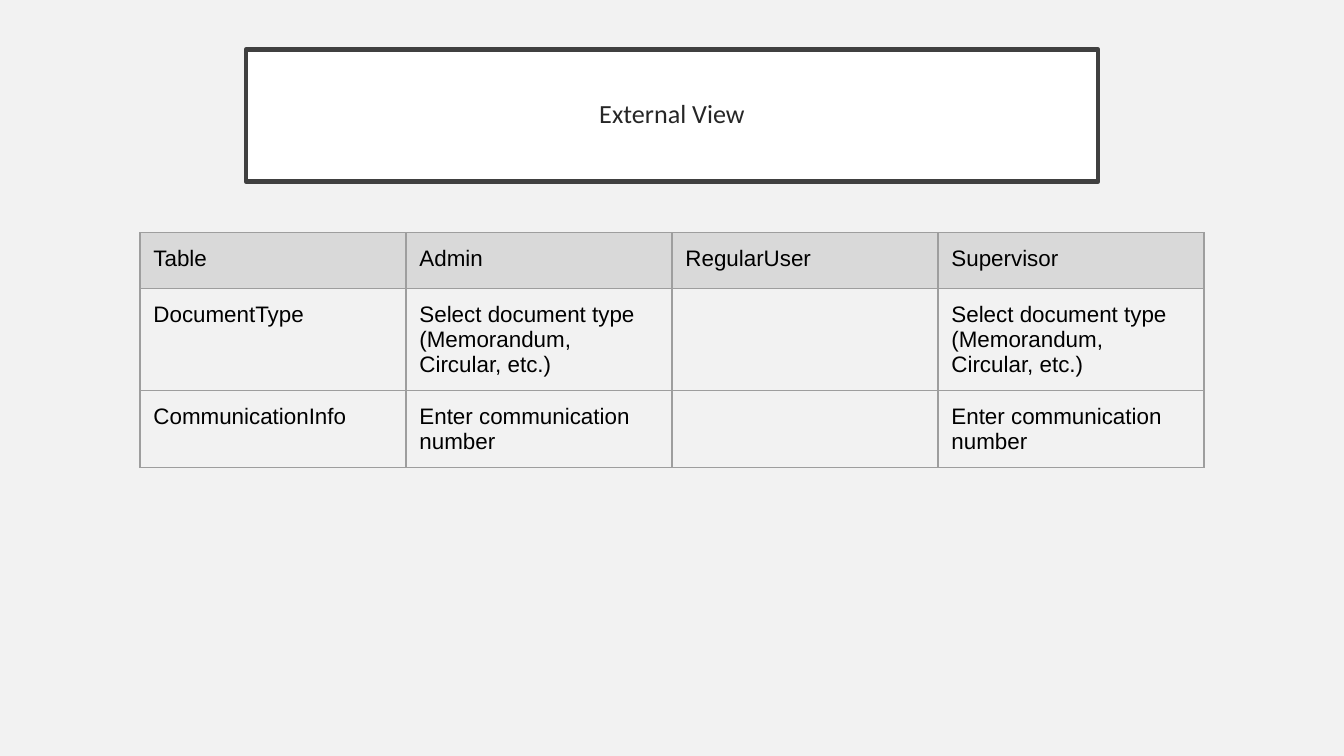
"""Build the External View slide: a framed title above a table of user roles."""
from lxml import etree
from pptx import Presentation
from pptx.dml.color import RGBColor
from pptx.enum import text
from pptx.oxml import ns
from pptx.util import Pt

PAGE_GREY = RGBColor(0xF2, 0xF2, 0xF2)
WHITE = RGBColor(0xFF, 0xFF, 0xFF)
BLACK = RGBColor(0, 0, 0)
FRAME_GREY = RGBColor(0x40, 0x40, 0x40)
TITLE_GREY = RGBColor(0x26, 0x26, 0x26)
HEADER_GREY = RGBColor(0xD9, 0xD9, 0xD9)
BORDER_GREY = RGBColor(0x9E, 0x9E, 0x9E)

SELECT_TYPE = "Select document type (Memorandum, Circular, etc.)"
ENTER_NUMBER = "Enter communication number"
ROWS = [
    ["Table", "Admin", "RegularUser", "Supervisor"],
    ["DocumentType", SELECT_TYPE, "", SELECT_TYPE],
    ["CommunicationInfo", ENTER_NUMBER, "", ENTER_NUMBER],
]
COLUMN_WIDTH = Pt(142.5)
ROW_HEIGHT = Pt(30)


def set_margins(target, margin):
    target.margin_left = target.margin_right = margin
    target.margin_top = target.margin_bottom = margin


def set_font(para, name, size, colour):
    para.font.name = name
    para.font.size = size
    para.font.color.rgb = colour


def add_title(page, wording):
    box = page.shapes.title
    box.left, box.top, box.width, box.height = Pt(131.8), Pt(26.6), Pt(456.5), Pt(70.6)
    box.fill.solid()
    box.fill.fore_color.rgb = WHITE
    box.line.color.rgb = FRAME_GREY
    box.line.width = Pt(2.5)
    frame = box.text_frame
    frame.text = wording
    frame.word_wrap = True
    frame.auto_size = text.MSO_AUTO_SIZE.NONE
    frame.vertical_anchor = text.MSO_ANCHOR.MIDDLE
    set_margins(frame, Pt(10.8))
    para = frame.paragraphs[0]
    para.alignment = text.PP_ALIGN.CENTER
    para.line_spacing = 0.9
    set_font(para, "Calibri", Pt(14), TITLE_GREY)


def add_borders(cell):
    properties = cell._tc.get_or_add_tcPr()
    for side in ("a:lnL", "a:lnR", "a:lnT", "a:lnB"):
        line = etree.SubElement(properties, ns.qn(side), w=str(Pt(0.75)))
        fill = etree.SubElement(line, ns.qn("a:solidFill"))
        etree.SubElement(fill, ns.qn("a:srgbClr"), val=str(BORDER_GREY))


def format_cell(cell, wording, is_header):
    cell.text = wording
    set_margins(cell, Pt(7.2))
    set_font(cell.text_frame.paragraphs[0], "Arial", Pt(12), BLACK)
    add_borders(cell)
    if is_header:
        cell.fill.solid()
        cell.fill.fore_color.rgb = HEADER_GREY
    else:
        cell.fill.background()


def add_role_table(page, rows):
    columns = len(rows[0])
    table = page.shapes.add_table(
        len(rows), columns, Pt(75), Pt(124.6),
        COLUMN_WIDTH * columns, ROW_HEIGHT * len(rows)).table
    table.first_row = table.horz_banding = False
    for row_index, row in enumerate(rows):
        for column_index, wording in enumerate(row):
            format_cell(table.cell(row_index, column_index), wording, row_index == 0)


def main():
    deck = Presentation()
    deck.slide_width, deck.slide_height = Pt(720), Pt(405)
    page = deck.slides.add_slide(deck.slide_layouts[5])
    page.background.fill.solid()
    page.background.fill.fore_color.rgb = PAGE_GREY
    add_title(page, "External View")
    add_role_table(page, ROWS)
    deck.save("out.pptx")


if __name__ == "__main__":
    main()
